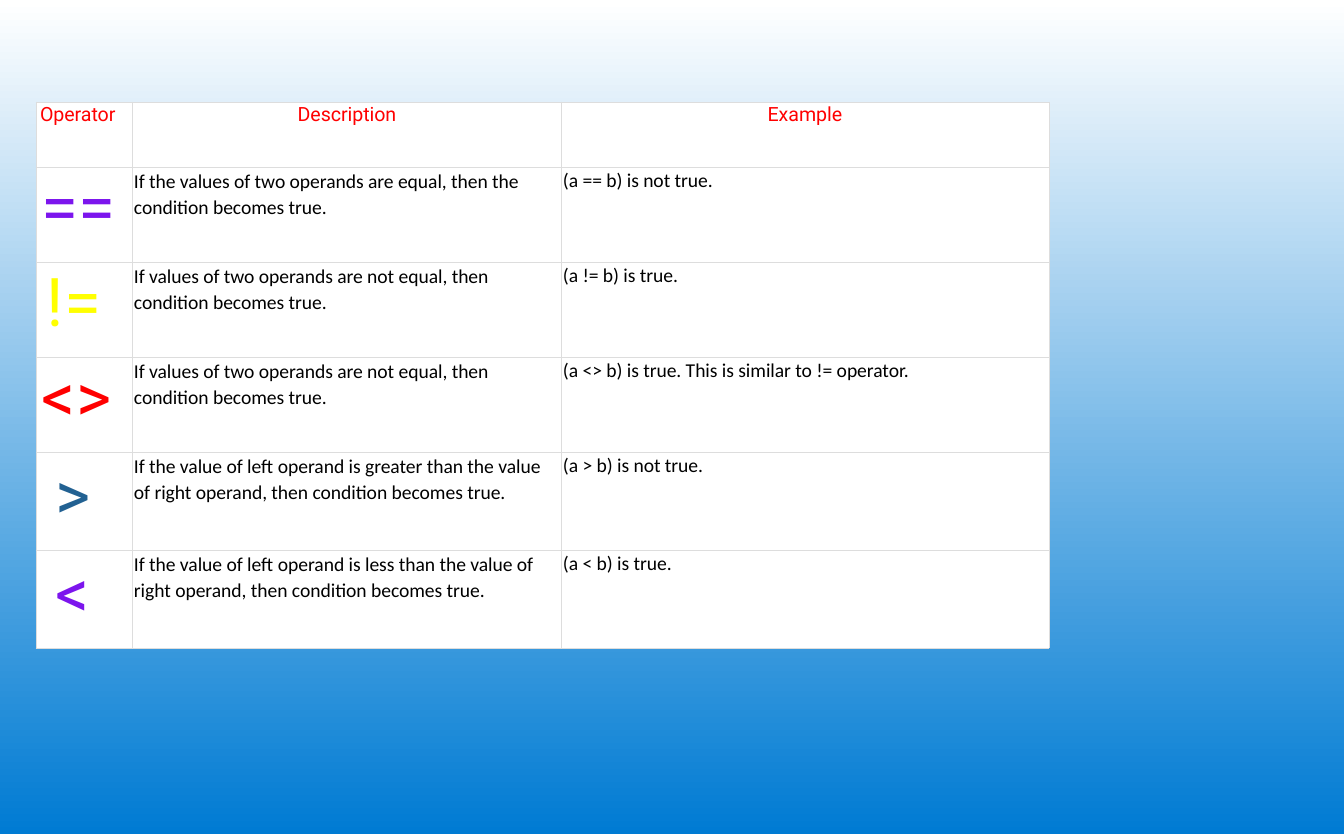
"""Build a slide with a table of comparison operators."""
from lxml.etree import SubElement
from pptx import Presentation
from pptx.dml.color import RGBColor
from pptx.enum.text import PP_ALIGN
from pptx.oxml.ns import qn
from pptx.util import Emu, Pt

PX = 914400 / 100.8
COLORS = {"blue": "007BD3", "white": "FFFFFF", "grid": "DDDDDD", "black": "000000",
          "red": "FF0000", "violet": "7C15ED", "yellow": "FFFF00", "steel": "226192"}


def px(n):
    return Emu(round(n * PX))


def write(cell, text, font="Calibri", size=14, color="black", align=PP_ALIGN.LEFT,
          indent=2, top=1, right=0, before=1.2, line=None, spc=-5):
    cell.margin_left = cell.margin_bottom = 0
    cell.margin_top, cell.margin_right = px(top), px(right)
    p = cell.text_frame.paragraphs[0]
    p.alignment, p.space_before = align, Pt(before)
    if line:
        p.line_spacing = Pt(line)
    pPr = p._p.get_or_add_pPr()
    pPr.set("marL", str(px(indent)))
    pPr.set("indent", "0")
    r = p.add_run()
    r.text = text
    r.font.name, r.font.size = font, Pt(size)
    r.font.color.rgb = RGBColor.from_string(COLORS[color])
    r._r.get_or_add_rPr().set("spc", str(spc))


prs = Presentation()
prs.slide_width, prs.slide_height = px(1344), px(834)
s = prs.slides.add_slide(prs.slide_layouts[6])

bg = s.background.fill
bg.gradient()
bg.gradient_angle = 90
for stop, name in zip(bg.gradient_stops, ("blue", "white")):
    stop.color.rgb = RGBColor.from_string(COLORS[name])

headers = [("Operator", PP_ALIGN.LEFT, 4), ("Description", PP_ALIGN.CENTER, 1),
           ("Example", PP_ALIGN.CENTER, 0)]
operators = [
    ("==", "violet", 6, 2, 1.6,
     "If the values of two operands are equal, then the condition becomes true.",
     "(a == b) is not true."),
    ("!=", "yellow", 11, 2, 1.6,
     "If values of two operands are not equal, then condition becomes true.",
     "(a != b) is true."),
    ("<>", "red", 6, 2, 1.6,
     "If values of two operands are not equal, then condition becomes true.",
     "(a <> b) is true. This is similar to != operator."),
    (">", "steel", 19, 5, 4,
     "If the value of left operand is greater than the value of right operand, "
     "then condition becomes true.",
     "(a > b) is not true."),
    ("<", "violet", 19, 5, 4,
     "If the value of left operand is less than the value of right operand, "
     "then condition becomes true.",
     "(a < b) is true."),
]
widths = [96, 429, 488]
heights = [65, 95, 95, 95, 98, 98]

table = s.shapes.add_table(len(heights), len(widths), px(36), px(102),
                           px(sum(widths)), px(sum(heights))).table
table.first_row = table.horz_banding = False
for col, w in zip(table.columns, widths):
    col.width = px(w)
for row, h in zip(table.rows, heights):
    row.height = px(h)

for c, (text, align, indent) in enumerate(headers):
    write(table.cell(0, c), text, font="Roboto", color="red", align=align,
          indent=indent, before=1)
for i, (symbol, color, indent, top, before, description, example) in enumerate(operators, 1):
    write(table.cell(i, 0), symbol, font="Roboto", size=48, color=color,
          indent=indent, top=top, before=before, spc=0)
    write(table.cell(i, 1), description, right=10, before=0.5, line=18.5)
    write(table.cell(i, 2), example, top=2)

for cell in table.iter_cells():
    tcPr = cell._tc.get_or_add_tcPr()
    for side in ("a:lnL", "a:lnR", "a:lnT", "a:lnB"):
        ln = SubElement(tcPr, qn(side), w=str(Pt(0.5)))
        SubElement(SubElement(ln, qn("a:solidFill")), qn("a:srgbClr"), val=COLORS["grid"])
    cell.fill.solid()
    cell.fill.fore_color.rgb = RGBColor.from_string(COLORS["white"])
    tcPr.append(tcPr.find(qn("a:solidFill")))

prs.save("out.pptx")
